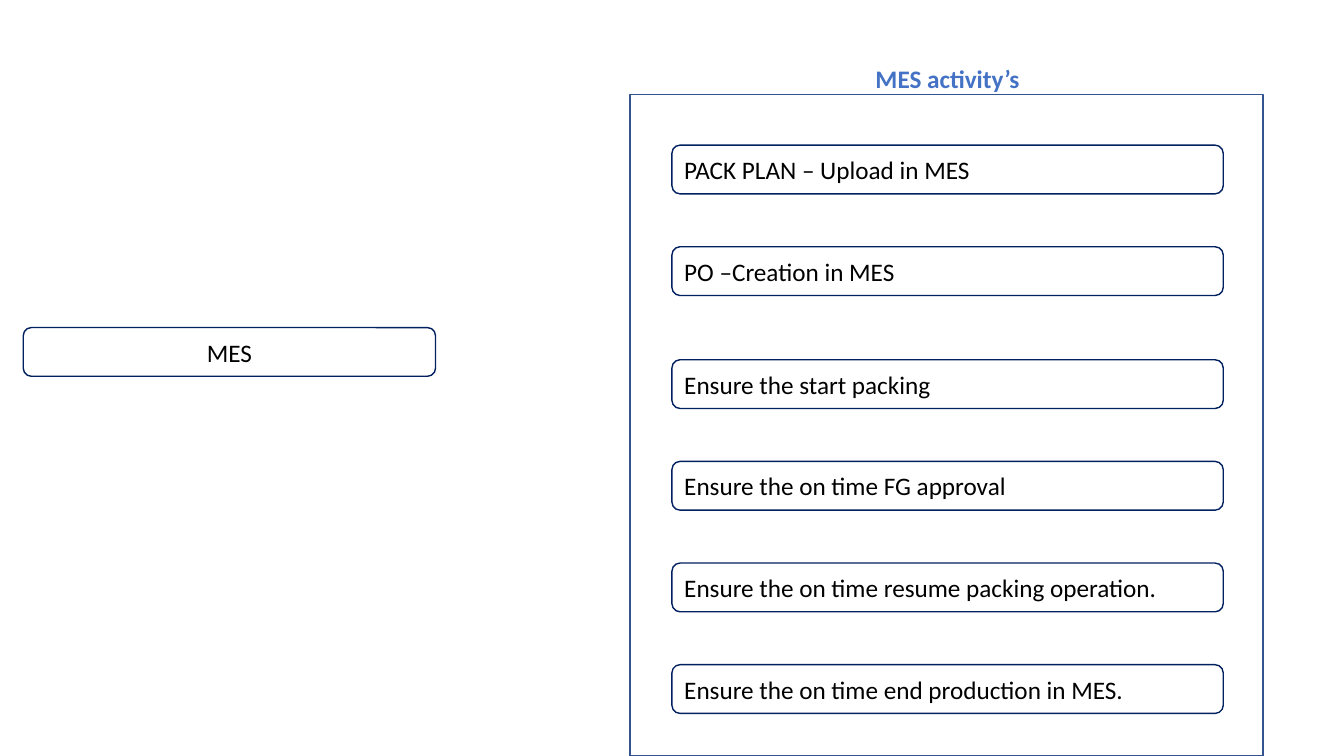
from pptx import Presentation
from pptx.dml.color import RGBColor
from pptx.enum.shapes import MSO_SHAPE
from pptx.enum.text import MSO_ANCHOR, MSO_AUTO_SIZE, PP_ALIGN
from pptx.util import Pt

ACTIVITIES = [
    "PACK PLAN – Upload in MES",
    "PO –Creation in MES",
    "Ensure the start packing",
    "Ensure the on time FG approval",
    "Ensure the on time resume packing operation.",
    "Ensure the on time end production in MES.",
]
FIRST_TOP = 103.7
PITCH = 72.6
GROUP_GAP = 8.1
SETUP_COUNT = 2


def color(value):
    return RGBColor.from_string(value)


def write_text(frame, text, size=18, font="Calibri", ink="000000", bold=False,
               align=PP_ALIGN.LEFT):
    paragraph = frame.paragraphs[0]
    paragraph.alignment = align
    run = paragraph.add_run()
    run.text = text
    run.font.size = Pt(size)
    run.font.name = font
    run.font.bold = bold
    run.font.color.rgb = color(ink)


class SlideBuilder:
    """Draws the slide's elements in one shared style."""

    white = "FFFFFF"
    navy = "002060"
    frame_blue = "325491"
    title_blue = "4472C4"
    box_height = 34.8

    def __init__(self, slide):
        self.slide = slide

    def outline(self, kind, left, top, width, height, line):
        shape = self.slide.shapes.add_shape(
            kind, Pt(left), Pt(top), Pt(width), Pt(height))
        shape.shadow.inherit = False
        shape.line.color.rgb = color(line)
        shape.line.width = Pt(1)
        return shape

    def box(self, text, left, top, width, align=PP_ALIGN.LEFT):
        shape = self.outline(MSO_SHAPE.ROUNDED_RECTANGLE, left, top, width,
                             self.box_height, self.navy)
        shape.fill.solid()
        shape.fill.fore_color.rgb = color(self.white)
        shape.text_frame.vertical_anchor = MSO_ANCHOR.MIDDLE
        write_text(shape.text_frame, text, align=align)

    def frame(self, left, top, width, height):
        shape = self.outline(MSO_SHAPE.RECTANGLE, left, top, width, height,
                             self.frame_blue)
        shape.fill.background()

    def title(self, text, left, top, width, height):
        shape = self.slide.shapes.add_textbox(
            Pt(left), Pt(top), Pt(width), Pt(height))
        shape.text_frame.word_wrap = False
        shape.text_frame.auto_size = MSO_AUTO_SIZE.SHAPE_TO_FIT_TEXT
        write_text(shape.text_frame, text, ink=self.title_blue, bold=True,
                   align=PP_ALIGN.CENTER)


def main():
    presentation = Presentation()
    presentation.slide_width = Pt(960)
    presentation.slide_height = Pt(540)
    slide = presentation.slides.add_slide(presentation.slide_layouts[6])
    builder = SlideBuilder(slide)

    builder.box("MES", 16.6, 234, 294.5, align=PP_ALIGN.CENTER)
    for index, activity in enumerate(ACTIVITIES):
        gap = GROUP_GAP if index >= SETUP_COUNT else 0
        builder.box(activity, 480, FIRST_TOP + index * PITCH + gap, 393.8)
    builder.title("MES activity’s", 617.8, 41.8, 118, 29)
    builder.frame(450, 67.7, 452.2, 472.3)

    presentation.save("out.pptx")


if __name__ == "__main__":
    main()
